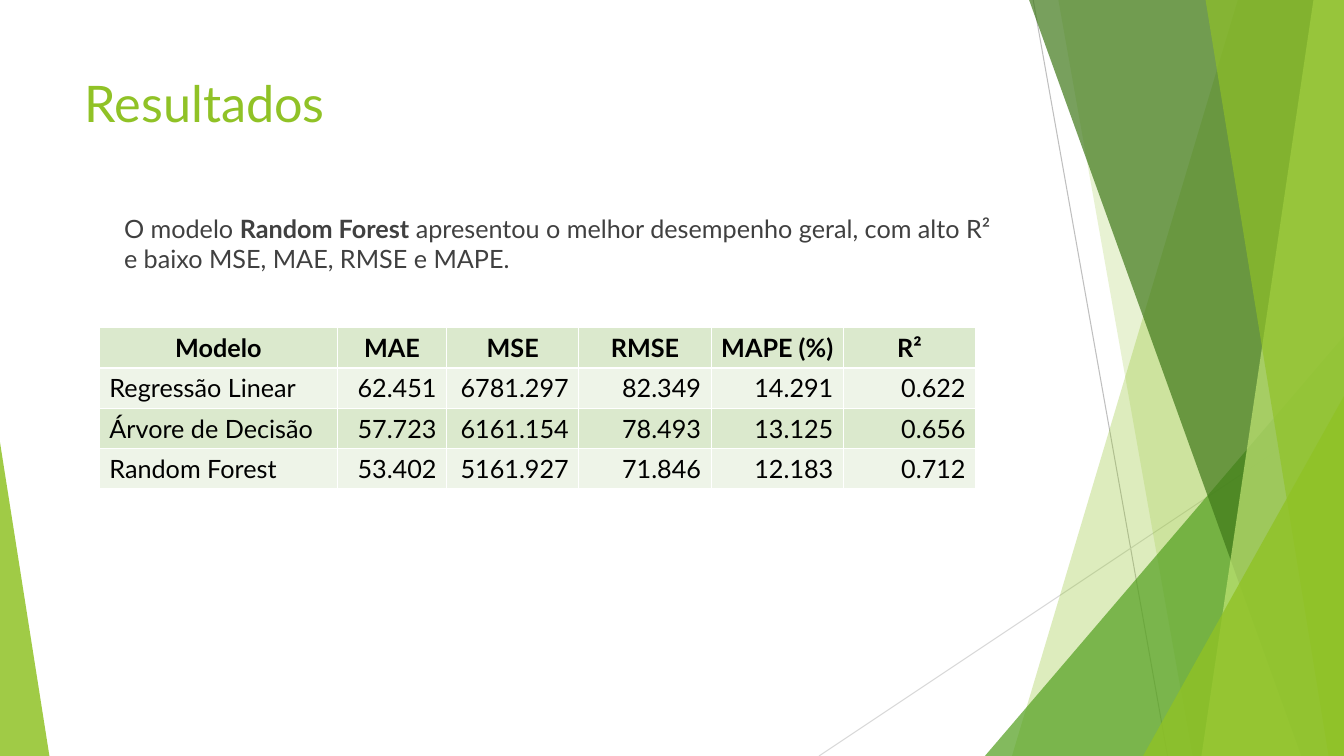
from collections import namedtuple

from lxml.etree import SubElement
from pptx import Presentation
from pptx.dml.color import RGBColor
from pptx.enum.shapes import MSO_CONNECTOR, MSO_SHAPE
from pptx.enum.text import MSO_ANCHOR, MSO_AUTO_SIZE, PP_ALIGN
from pptx.oxml import parse_xml
from pptx.oxml.ns import nsdecls, qn
from pptx.util import Pt

Theme = namedtuple("Theme", "font title_size body_size green mid dark light text black band pale border")
theme = Theme("Lato", 36, 18, "90C226", "54A021", "3F7819", "C0E474",
              "404040", "000000", "DBE9CD", "EEF4E8", "FFFFFF")
WIDTH, HEIGHT = 960, 540


def style(font, size, color, bold=False):
    font.name, font.size, font.bold = theme.font, Pt(size), bold
    font.color.rgb = RGBColor.from_string(color)


def paint(sp, color, opacity):
    sp.shadow.inherit = False
    sp.line.fill.background()
    sp.fill.solid()
    sp.fill.fore_color.rgb = RGBColor.from_string(color)
    clr = sp.element.spPr.find(qn("a:solidFill")).find(qn("a:srgbClr"))
    SubElement(clr, qn("a:alpha")).set("val", str(opacity * 1000))


prs = Presentation()
prs.slide_width, prs.slide_height = Pt(WIDTH), Pt(HEIGHT)
s = prs.slides.add_slide(prs.slide_layouts[5])

# Thin background lines
for x1, y1, x2, y2, color in [(738, 0, 834, HEIGHT, "BFBFBF"),
                              (WIDTH, 290, 585, HEIGHT, "D9D9D9")]:
    line = s.shapes.add_connector(MSO_CONNECTOR.STRAIGHT, Pt(x1), Pt(y1), Pt(x2), Pt(y2))
    line.line.color.rgb = RGBColor.from_string(color)
    line.line.width = Pt(0.75)
    SubElement(line.element.spPr, qn("a:effectLst"))

# Green facets, back to front: bands run to the right edge, triangles rest on the bottom
facets = [
    ("band", 884.2, 722.9, theme.green, 30),
    ("band", 756, 851.8, theme.green, 20),
    ("triangle", 703.5, 256.5, 240, 1, theme.mid, 72),
    ("band", 735.1, 929.5, theme.dark, 70),
    ("band", 938.2, 858.2, theme.light, 70),
    ("band", 861.1, 949, theme.green, 65),
    ("triangle", 816.5, 143.5, 283, 1, theme.green, 80),
    ("triangle", 0, 35.3, 316, 0, theme.green, 85),
]
for kind, *dims, color, opacity in facets:
    if kind == "band":
        top_x, bottom_x = dims
        builder = s.shapes.build_freeform(Pt(top_x), 0)
        builder.add_line_segments([(Pt(WIDTH), 0), (Pt(WIDTH), Pt(HEIGHT)),
                                   (Pt(bottom_x), Pt(HEIGHT))], close=True)
        sp = builder.convert_to_shape()
    else:
        left, width, top, apex = dims
        sp = s.shapes.add_shape(MSO_SHAPE.ISOSCELES_TRIANGLE, Pt(left), Pt(top),
                                Pt(width), Pt(HEIGHT - top))
        sp.adjustments[0] = apex
    paint(sp, color, opacity)

# Title
title = s.shapes.title
title.left, title.top, title.width, title.height = Pt(53.3), Pt(48), Pt(677), Pt(104)
tf = title.text_frame
tf.text = "Resultados"
tf.auto_size = MSO_AUTO_SIZE.NONE
tf.vertical_anchor = MSO_ANCHOR.TOP
p = tf.paragraphs[0]
p.alignment = PP_ALIGN.LEFT
style(p.font, theme.title_size, theme.green)

# Conclusion
box = s.shapes.add_textbox(Pt(81.5), Pt(149), Pt(640.5), Pt(52))
tf = box.text_frame
tf.word_wrap = True
p = tf.paragraphs[0]
for text, bold in [("O modelo ", False), ("Random Forest", True),
                   (" apresentou o melhor desempenho geral, com alto R² "
                    "e baixo MSE, MAE, RMSE e MAPE.", False)]:
    r = p.add_run()
    r.text = text
    style(r.font, theme.body_size, theme.text, bold)

# Results table
rows = [
    ("Modelo", "MAE", "MSE", "RMSE", "MAPE (%)", "R²"),
    ("Regressão Linear", "62.451", "6781.297", "82.349", "14.291", "0.622"),
    ("Árvore de Decisão", "57.723", "6161.154", "78.493", "13.125", "0.656"),
    ("Random Forest", "53.402", "5161.927", "71.846", "12.183", "0.712"),
]
col_widths = [170, 78] + [94.5] * 4
row_height = 28.8
table = s.shapes.add_table(len(rows), len(col_widths), Pt(71), Pt(234),
                           Pt(sum(col_widths)), Pt(row_height * len(rows))).table
for column, width in zip(table.columns, col_widths):
    column.width = Pt(width)
for i, values in enumerate(rows):
    table.rows[i].height = Pt(row_height)
    for j, value in enumerate(values):
        cell = table.cell(i, j)
        cell.text = value
        cell.vertical_anchor = MSO_ANCHOR.MIDDLE
        p = cell.text_frame.paragraphs[0]
        if i == 0:
            p.alignment = PP_ALIGN.CENTER
        else:
            p.alignment = PP_ALIGN.RIGHT if j else PP_ALIGN.LEFT
        style(p.font, theme.body_size, theme.black, i == 0)
        tc_pr = cell._tc.get_or_add_tcPr()
        for side in ("lnL", "lnR", "lnT", "lnB"):
            tc_pr.append(parse_xml(
                f'<a:{side} {nsdecls("a")} w="{Pt(1)}"><a:solidFill>'
                f'<a:srgbClr val="{theme.border}"/></a:solidFill></a:{side}>'))
        cell.fill.solid()
        cell.fill.fore_color.rgb = RGBColor.from_string(theme.pale if i % 2 else theme.band)

prs.save("out.pptx")
